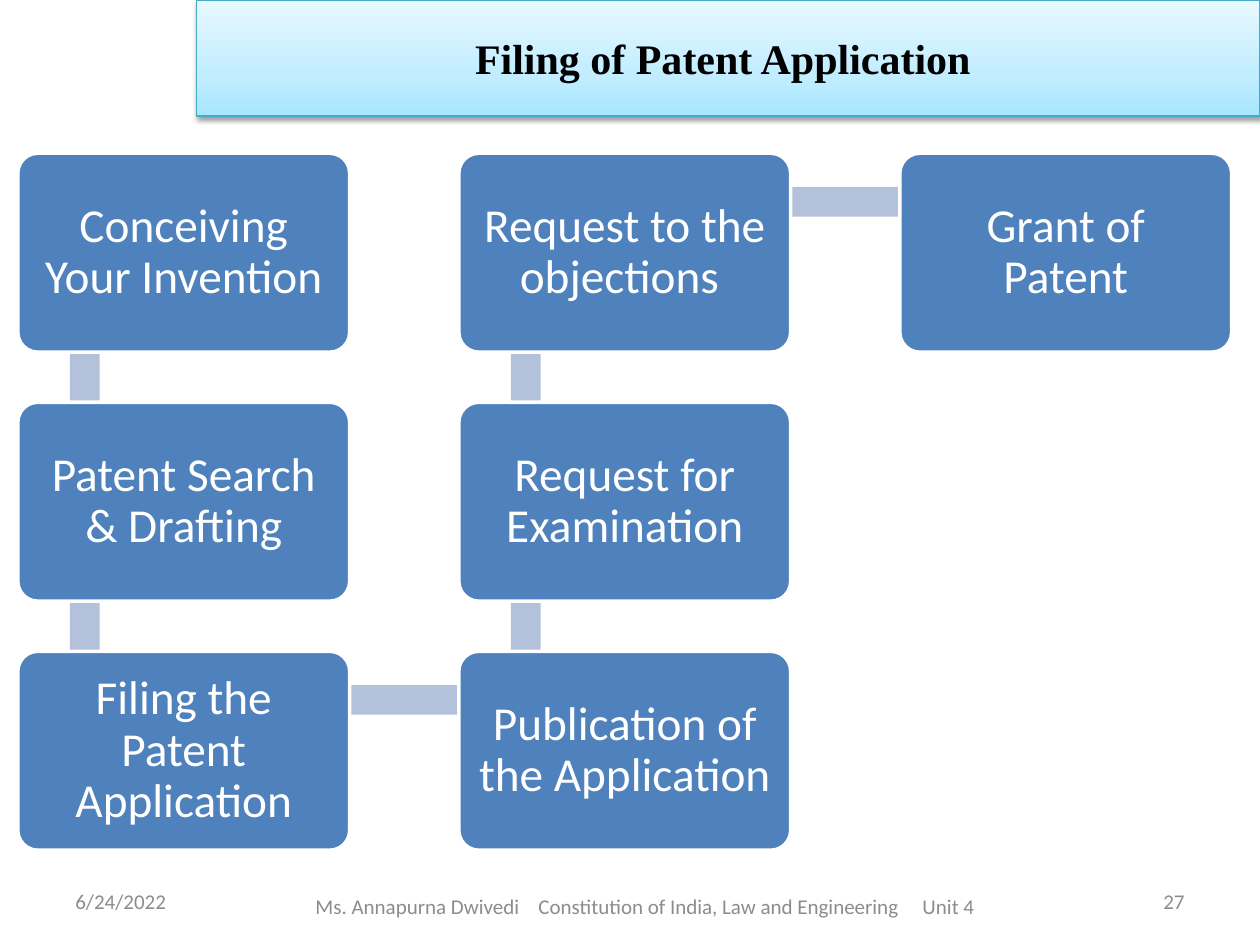
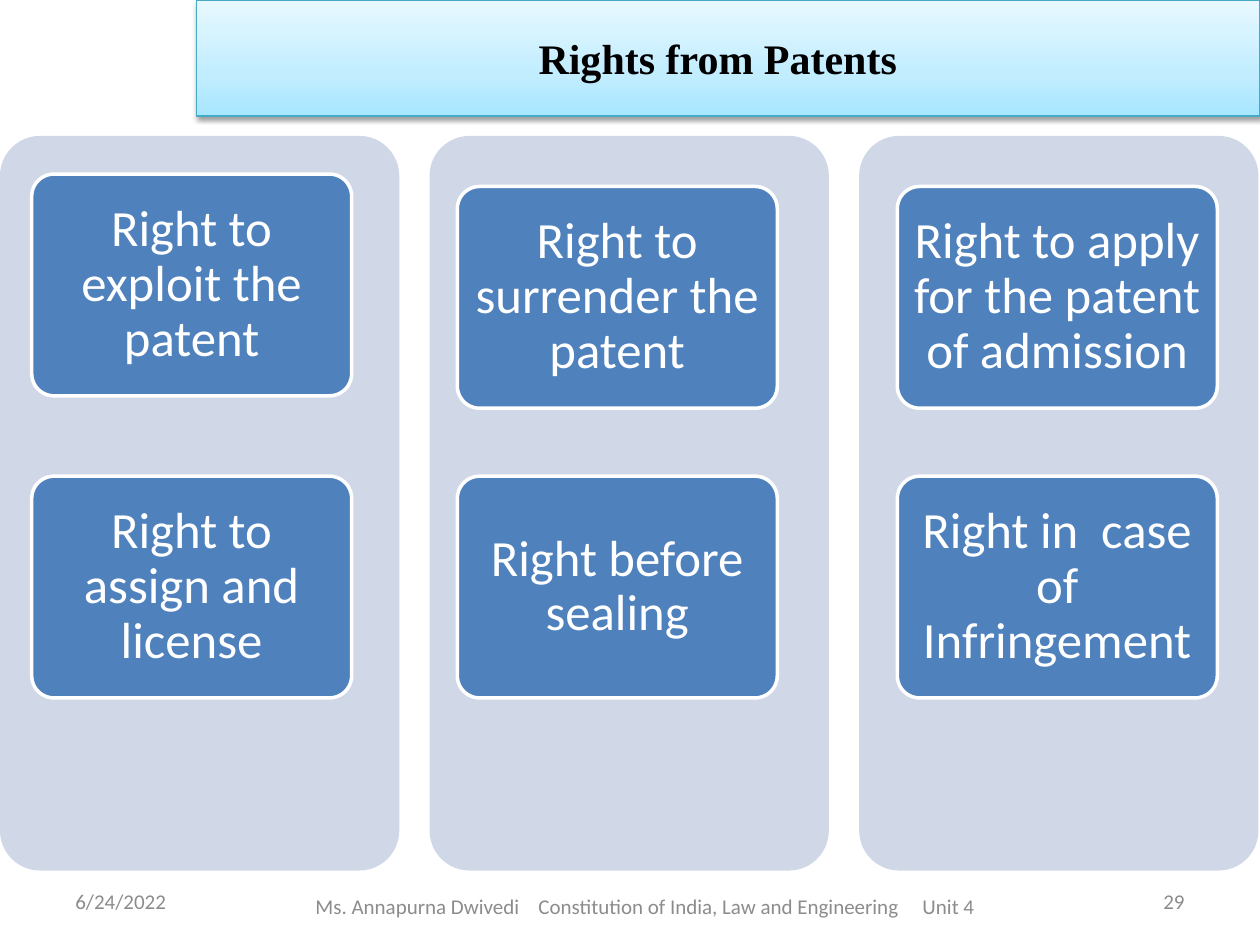
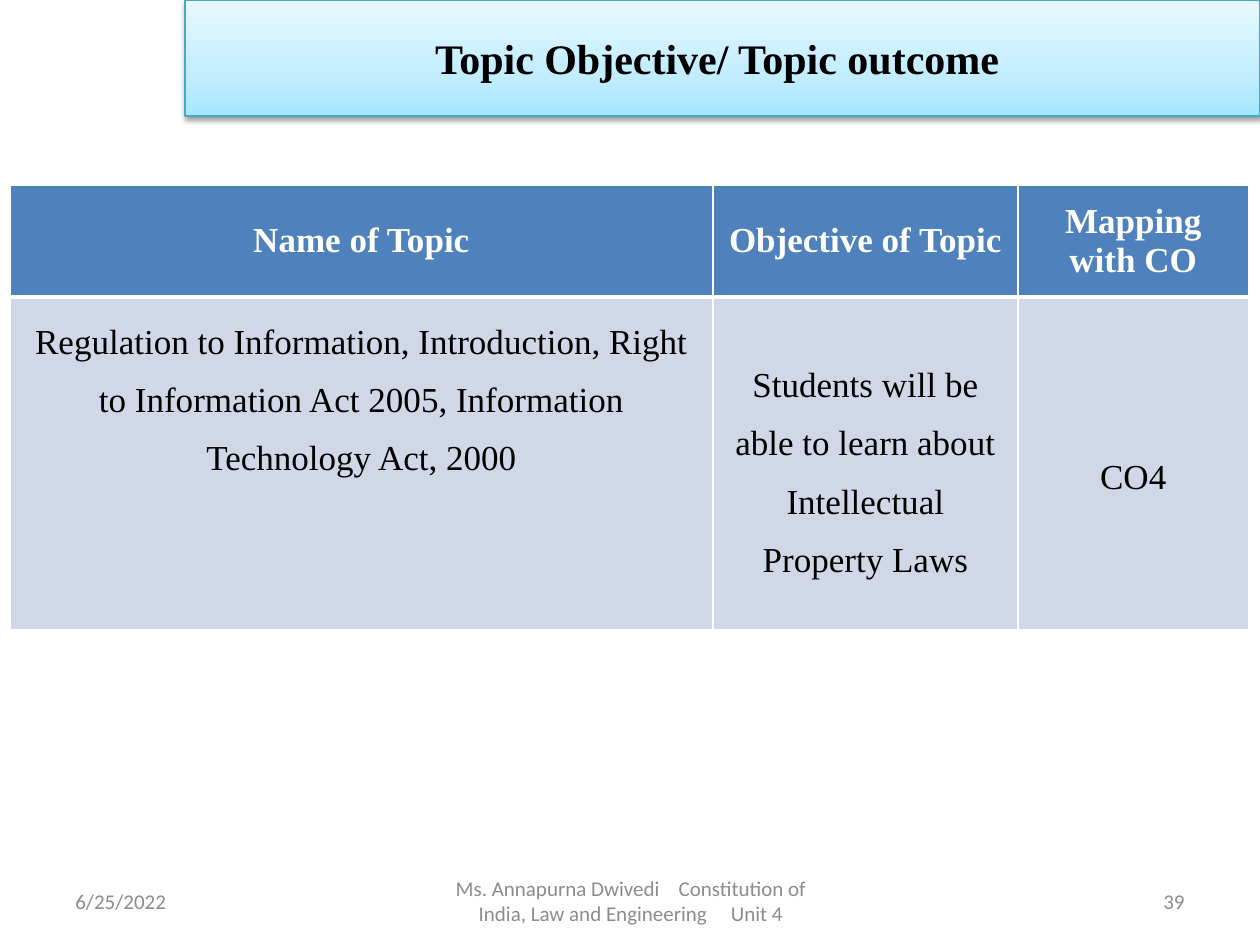
from dataclasses import dataclass
from itertools import pairwise

from lxml import etree
from pptx import Presentation
from pptx.dml.color import RGBColor
from pptx.enum import shapes, text
from pptx.oxml import ns
from pptx.util import Cm, Pt

BLUE, PALE_BLUE, LINK_BLUE = "4F81BD", "D0D8E8", "B3C1DB"
WHITE, BLACK, GREY, TEAL = "FFFFFF", "000000", "8C8C8C", "46AAC5"
BANNER_STOPS = ((0, "A7E6FF"), (35, "C1EDFF"), (100, "E7F8FF"))
SANS, SERIF = "Calibri", "Times New Roman"
LEFT, CENTER, RIGHT = text.PP_ALIGN.LEFT, text.PP_ALIGN.CENTER, text.PP_ALIGN.RIGHT
TOP, MIDDLE = text.MSO_ANCHOR.TOP, text.MSO_ANCHOR.MIDDLE
RECT, ROUNDED = shapes.MSO_SHAPE.RECTANGLE, shapes.MSO_SHAPE.ROUNDED_RECTANGLE
CREDIT = ("Ms. Annapurna Dwivedi", "Constitution of India, Law and Engineering", "Unit 4")
CREDIT_GAPS = (8.1, 10.8)
SLIDE_WIDTH = 25.4


@dataclass(frozen=True)
class Box:
    left: float
    top: float
    width: float
    height: float

    def lengths(self) -> tuple:
        return Cm(self.left), Cm(self.top), Cm(self.width), Cm(self.height)


@dataclass(frozen=True)
class Style:
    size: float
    face: str = SANS
    color: str = WHITE
    bold: bool = False
    align: int = CENTER
    spacing: float = 1.0


@dataclass(frozen=True)
class Heading:
    title: str
    left: float
    nudge: float


@dataclass(frozen=True)
class Footer:
    date: str
    number: str
    credit_box: Box


@dataclass(frozen=True)
class Step:
    label: str
    column: int
    row: int

    def box(self) -> Box:
        return Box(0.36 + 8.89 * self.column, 3.09 + 5.02 * self.row, 6.69, 4.01)

    def link_point(self) -> tuple[float, float]:
        box = self.box()
        return box.left + 1.35, box.top + 0.98


@dataclass(frozen=True)
class RightsColumn:
    card_left: float
    first_top: float
    labels: tuple[str, str]


@dataclass(frozen=True)
class Entry:
    words: str
    style: Style
    anchor: int = MIDDLE
    margin_top: float = 0.13


TITLE = Style(24, SERIF, BLACK, True)
HEADER = Style(20, SERIF, WHITE, True)
BODY = Style(20, SERIF, BLACK, spacing=1.5)
CODE = Style(20, SERIF, BLACK)
STEP_LABEL = Style(27, spacing=0.9)
RIGHT_LABEL = Style(29, spacing=0.9)

WIDE_CREDIT = Box(4.01, 17.65, 17.98, 1.22)
NARROW_CREDIT = Box(8.69, 17.65, 8.05, 1.02)

STEPS = (
    Step("Conceiving Your Invention", 0, 0),
    Step("Patent Search & Drafting", 0, 1),
    Step("Filing the Patent Application", 0, 2),
    Step("Publication of the Application", 1, 2),
    Step("Request for Examination", 1, 1),
    Step("Request to the objections ", 1, 0),
    Step("Grant of Patent", 2, 0),
)

RIGHTS = (
    RightsColumn(0.64, 3.51, ("Right to exploit the patent", "Right to assign and license")),
    RightsColumn(9.22, 3.76, ("Right to surrender the patent", "Right before sealing")),
    RightsColumn(18.09, 3.76, ("Right to apply for the patent of admission",
                               "Right in  case of Infringement")),
)

TOPIC_ROWS = (
    (Entry("Name of Topic", HEADER), Entry("Objective of Topic", HEADER),
     Entry("Mapping with CO", HEADER)),
    (Entry("Regulation to Information, Introduction, Right to Information Act 2005, "
           "Information Technology Act, 2000", BODY, TOP),
     Entry("Students will be able to learn about Intellectual Property Laws", BODY),
     Entry("CO4", CODE, TOP, 3.25)),
)


def rgb(color: str) -> RGBColor:
    return RGBColor.from_string(color)


def add_xml(parent, tag: str, **attributes):
    values = {name: str(value) for name, value in attributes.items()}
    return etree.SubElement(parent, ns.qn(tag), values)


def style_paragraph(paragraph, style: Style) -> None:
    paragraph.alignment = style.align
    paragraph.line_spacing = style.spacing
    paragraph.font.size = Pt(style.size)
    paragraph.font.name = style.face
    paragraph.font.bold = style.bold
    paragraph.font.color.rgb = rgb(style.color)


def write(frame, words: str, style: Style, inset_x: float = 0.25, inset_y: float = 0.13) -> None:
    frame.word_wrap = True
    frame.vertical_anchor = MIDDLE
    frame.margin_left = frame.margin_right = Cm(inset_x)
    frame.margin_top = frame.margin_bottom = Cm(inset_y)
    paragraph = frame.paragraphs[0]
    style_paragraph(paragraph, style)
    paragraph.add_run().text = words


def add_block(slide, kind: int, box: Box, fill: str, outline: str | None = None,
              line_width: float = 2):
    block = slide.shapes.add_shape(kind, *box.lengths())
    block.shadow.inherit = False
    block.fill.solid()
    block.fill.fore_color.rgb = rgb(fill)
    if kind == ROUNDED:
        block.adjustments[0] = 0.1
    if outline:
        block.line.color.rgb = rgb(outline)
        block.line.width = Pt(line_width)
    else:
        block.line.fill.background()
    return block


def add_card(slide, box: Box, label: str, style: Style, inset_x: float, inset_y: float) -> None:
    card = add_block(slide, ROUNDED, box, BLUE, WHITE)
    write(card.text_frame, label, style, inset_x, inset_y)


def add_banner(slide, heading: Heading) -> None:
    box = Box(heading.left, 0, SLIDE_WIDTH - heading.left, 2.34)
    banner = add_block(slide, RECT, box, WHITE, TEAL, 0.75)
    banner.fill.gradient()
    banner.fill.gradient_angle = 90
    properties = banner._element.spPr
    stops = properties.find(".//" + ns.qn("a:gsLst"))
    for stop in list(stops):
        stops.remove(stop)
    for percent, color in BANNER_STOPS:
        add_xml(add_xml(stops, "a:gs", pos=percent * 1000), "a:srgbClr", val=color)
    shadow = add_xml(properties.find(ns.qn("a:effectLst")), "a:outerShdw", blurRad=Pt(3.1),
                     dist=Pt(1.6), dir=5400000, rotWithShape=0)
    add_xml(add_xml(shadow, "a:srgbClr", val=BLACK), "a:alpha", val=38000)
    write(banner.text_frame, heading.title, TITLE)
    banner.text_frame.margin_right = Cm(0.25 + heading.nudge)


def add_label(slide, box: Box, words: str, align: int):
    label = slide.shapes.add_textbox(*box.lengths())
    write(label.text_frame, words, Style(12, color=GREY, align=align))
    return label.text_frame.paragraphs[0]


def add_footer(slide, footer: Footer) -> None:
    add_label(slide, Box(1.27, 17.65, 5.92, 1.02), footer.date, LEFT)
    credit = add_label(slide, footer.credit_box, CREDIT[0], CENTER)
    for gap, part in zip(CREDIT_GAPS, CREDIT[1:]):
        space = credit.add_run()
        space.text = " "
        space._r.get_or_add_rPr().set("spc", str(round(gap * 100)))
        credit.add_run().text = part
    add_label(slide, Box(18.21, 17.65, 5.92, 1.02), footer.number, RIGHT)


def add_page(deck, heading: Heading, footer: Footer):
    slide = deck.slides.add_slide(deck.slide_layouts[6])
    add_footer(slide, footer)
    add_banner(slide, heading)
    return slide


def add_filing_steps(slide) -> None:
    thickness = 0.6
    for step, following in pairwise(STEPS):
        (x1, y1), (x2, y2) = step.link_point(), following.link_point()
        if step.column == following.column:
            link = Box(x1 - thickness / 2, min(y1, y2), thickness, abs(y2 - y1))
        else:
            link = Box(x1, y1 - thickness / 2, x2 - x1, thickness)
        add_block(slide, RECT, link, LINK_BLUE)
    for step in STEPS:
        add_card(slide, step.box(), step.label, STEP_LABEL, 0.28, 0.28)


def add_rights(slide) -> None:
    for index, column in enumerate(RIGHTS):
        add_block(slide, ROUNDED, Box(8.66 * index, 2.74, 8.05, 14.81), PALE_BLUE)
        for top, label in zip((column.first_top, 9.6), column.labels):
            add_card(slide, Box(column.card_left, top, 6.45, 4.47), label, RIGHT_LABEL, 0.2, 0.15)


def add_borders(cell, top: float, bottom: float) -> None:
    properties = cell._tc.get_or_add_tcPr()
    for side, width in (("L", 1), ("R", 1), ("T", top), ("B", bottom)):
        border = add_xml(properties, f"a:ln{side}", w=Pt(width))
        add_xml(add_xml(border, "a:solidFill"), "a:srgbClr", val=WHITE)


def add_topics(slide) -> None:
    topics = slide.shapes.add_table(2, 3, *Box(0.2, 3.73, 24.97, 8.97).lengths()).table
    topics.horz_banding = False
    for column, width in zip(topics.columns, (14.17, 6.15, 4.65)):
        column.width = Cm(width)
    for row, height in zip(topics.rows, (2.26, 6.71)):
        row.height = Cm(height)
    looks = ((BLUE, 1, 3), (PALE_BLUE, 3, 1))
    for row, entries, (fill, top, bottom) in zip(topics.rows, TOPIC_ROWS, looks):
        for cell, entry in zip(row.cells, entries):
            add_borders(cell, top, bottom)
            cell.fill.solid()
            cell.fill.fore_color.rgb = rgb(fill)
            cell.vertical_anchor = entry.anchor
            cell.margin_left = cell.margin_right = Cm(0.25)
            cell.margin_top, cell.margin_bottom = Cm(entry.margin_top), Cm(0.13)
            paragraph = cell.text_frame.paragraphs[0]
            style_paragraph(paragraph, entry.style)
            paragraph.add_run().text = entry.words


def main() -> None:
    deck = Presentation()
    deck.slide_width, deck.slide_height = Cm(SLIDE_WIDTH), Cm(19.05)
    add_filing_steps(add_page(deck, Heading("Filing of Patent Application", 3.96, 0.21),
                              Footer("6/24/2022", "27", WIDE_CREDIT)))
    add_rights(add_page(deck, Heading("Rights from Patents", 3.96, 0.42),
                        Footer("6/24/2022", "29", WIDE_CREDIT)))
    add_topics(add_page(deck, Heading("Topic Objective/ Topic outcome", 3.73, 0.21),
                        Footer("6/25/2022", "39", NARROW_CREDIT)))
    deck.save("out.pptx")


if __name__ == "__main__":
    main()
